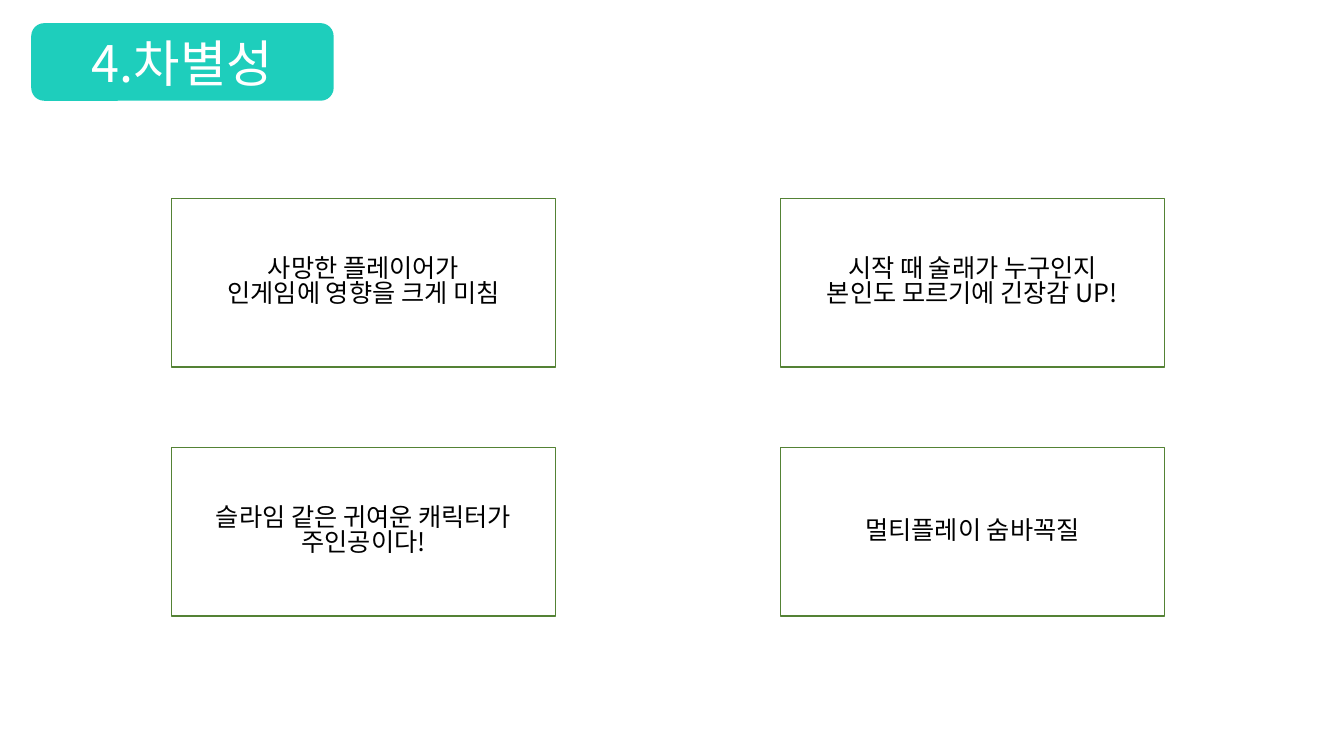
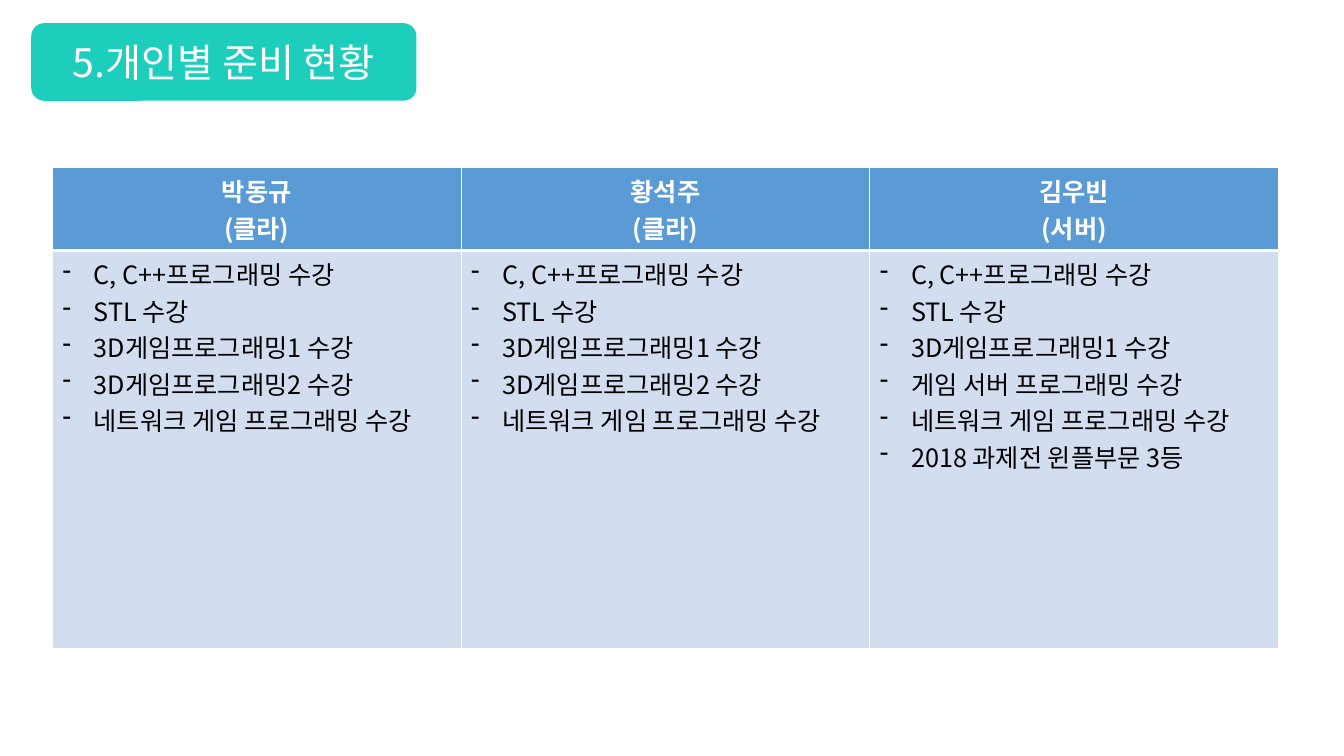
import pptx
import pptx.util
import pptx.dml.color
import pptx.enum.shapes
import pptx.enum.text
import pptx.oxml.ns
from lxml import etree

Inches = pptx.util.Inches
Pt = pptx.util.Pt
Shapes = pptx.enum.shapes.MSO_SHAPE
Align = pptx.enum.text.PP_ALIGN
qn = pptx.oxml.ns.qn

FONT = "Noto Sans CJK KR"
TEAL = "1ECEBC"
GREEN = "548235"
BLUE = "5B9BD5"
PALE_BLUE = "D2DEEF"
WHITE = "FFFFFF"
BLACK = "000000"

STRENGTHS = [
    ["사망한 플레이어가", "인게임에 영향을 크게 미침"],
    ["시작 때 술래가 누구인지", "본인도 모르기에 긴장감 UP!"],
    ["슬라임 같은 귀여운 캐릭터가", "주인공이다!"],
    ["멀티플레이 숨바꼭질"],
]
BASICS = ["C, C++프로그래밍 수강", "STL 수강", "3D게임프로그래밍1 수강"]
NETWORK = "네트워크 게임 프로그래밍 수강"
CLIENT_COURSES = BASICS + ["3D게임프로그래밍2 수강", NETWORK]
SERVER_COURSES = BASICS + ["게임 서버 프로그래밍 수강", NETWORK, "2018 과제전 윈플부문 3등"]
MEMBERS = [
    ("박동규", "(클라)", CLIENT_COURSES),
    ("황석주", "(클라)", CLIENT_COURSES),
    ("김우빈", "(서버)", SERVER_COURSES),
]


def color(value):
    return pptx.dml.color.RGBColor.from_string(value)


def paint(filled, value):
    filled.fill.solid()
    filled.fill.fore_color.rgb = color(value)


def add_dash(paragraph):
    properties = paragraph._p.get_or_add_pPr()
    properties.set("marL", str(Inches(0.31)))
    properties.set("indent", str(-Inches(0.31)))
    etree.SubElement(properties, qn("a:buFontTx"))
    etree.SubElement(properties, qn("a:buChar")).set("char", "-")


def write(frame, lines, size, text_color, bold=False, align=Align.CENTER, spacing=None, dashed=False):
    frame.word_wrap = True
    for index, line in enumerate(lines):
        paragraph = frame.add_paragraph() if index else frame.paragraphs[0]
        paragraph.text = line
        paragraph.alignment = align
        if spacing:
            paragraph.line_spacing = spacing
        if dashed:
            add_dash(paragraph)
        font = paragraph.font
        font.size = Pt(size)
        font.bold = bold
        font.color.rgb = color(text_color)
        font.name = FONT
        east_asian = etree.SubElement(font._element, qn("a:ea"))
        east_asian.set("typeface", FONT)


def add_box(slide, preset, left, top, width, height):
    shape = slide.shapes.add_shape(preset, Inches(left), Inches(top), Inches(width), Inches(height))
    shape.shadow.inherit = False
    shape.text_frame.vertical_anchor = pptx.enum.text.MSO_ANCHOR.MIDDLE
    return shape


def add_title(slide, text, width, size):
    shape = add_box(slide, Shapes.ROUNDED_RECTANGLE, 0.31, 0.23, width, 0.77)
    paint(shape, TEAL)
    shape.line.fill.background()
    write(shape.text_frame, [text], size, WHITE)


def add_strengths(slide, left, top, width, height):
    box_width, box_height = 3.81, 1.67
    for index, lines in enumerate(STRENGTHS):
        row, column = divmod(index, 2)
        shape = add_box(slide, Shapes.RECTANGLE, left + column * (width - box_width),
                        top + row * (height - box_height), box_width, box_height)
        shape.fill.background()
        shape.line.color.rgb = color(GREEN)
        shape.line.width = Pt(1)
        write(shape.text_frame, lines, 18, BLACK, spacing=0.82)


def add_borders(cell, top, bottom):
    properties = cell._tc.get_or_add_tcPr()
    widths = {"a:lnL": 1, "a:lnR": 1, "a:lnT": top, "a:lnB": bottom}
    for index, (tag, width) in enumerate(widths.items()):
        line = etree.Element(qn(tag), w=str(Pt(width)))
        fill = etree.SubElement(line, qn("a:solidFill"))
        etree.SubElement(fill, qn("a:srgbClr")).set("val", WHITE)
        properties.insert(index, line)


def add_members(slide, left, top, width, height):
    frame = slide.shapes.add_table(2, len(MEMBERS), Inches(left), Inches(top), Inches(width), Inches(height))
    table = frame.table
    header_height = 0.79
    table.rows[0].height = Inches(header_height)
    table.rows[1].height = Inches(height - header_height)
    for column, (name, role, courses) in enumerate(MEMBERS):
        header, body = table.cell(0, column), table.cell(1, column)
        paint(header, BLUE)
        add_borders(header, 1, 3)
        write(header.text_frame, [name, role], 18, WHITE, bold=True)
        paint(body, PALE_BLUE)
        add_borders(body, 3, 1)
        write(body.text_frame, courses, 18, BLACK, align=Align.LEFT, dashed=True)


def main():
    presentation = pptx.Presentation()
    presentation.slide_width = Inches(13.33)
    presentation.slide_height = Inches(7.5)
    blank = presentation.slide_layouts[6]

    slide = presentation.slides.add_slide(blank)
    add_title(slide, "4.차별성", 3, 36)
    add_strengths(slide, 1.7, 1.97, 9.85, 4.14)

    slide = presentation.slides.add_slide(blank)
    add_title(slide, "5.개인별 준비 현황", 3.82, 28)
    add_members(slide, 0.52, 1.66, 12.16, 4.74)

    presentation.save("out.pptx")


if __name__ == "__main__":
    main()
